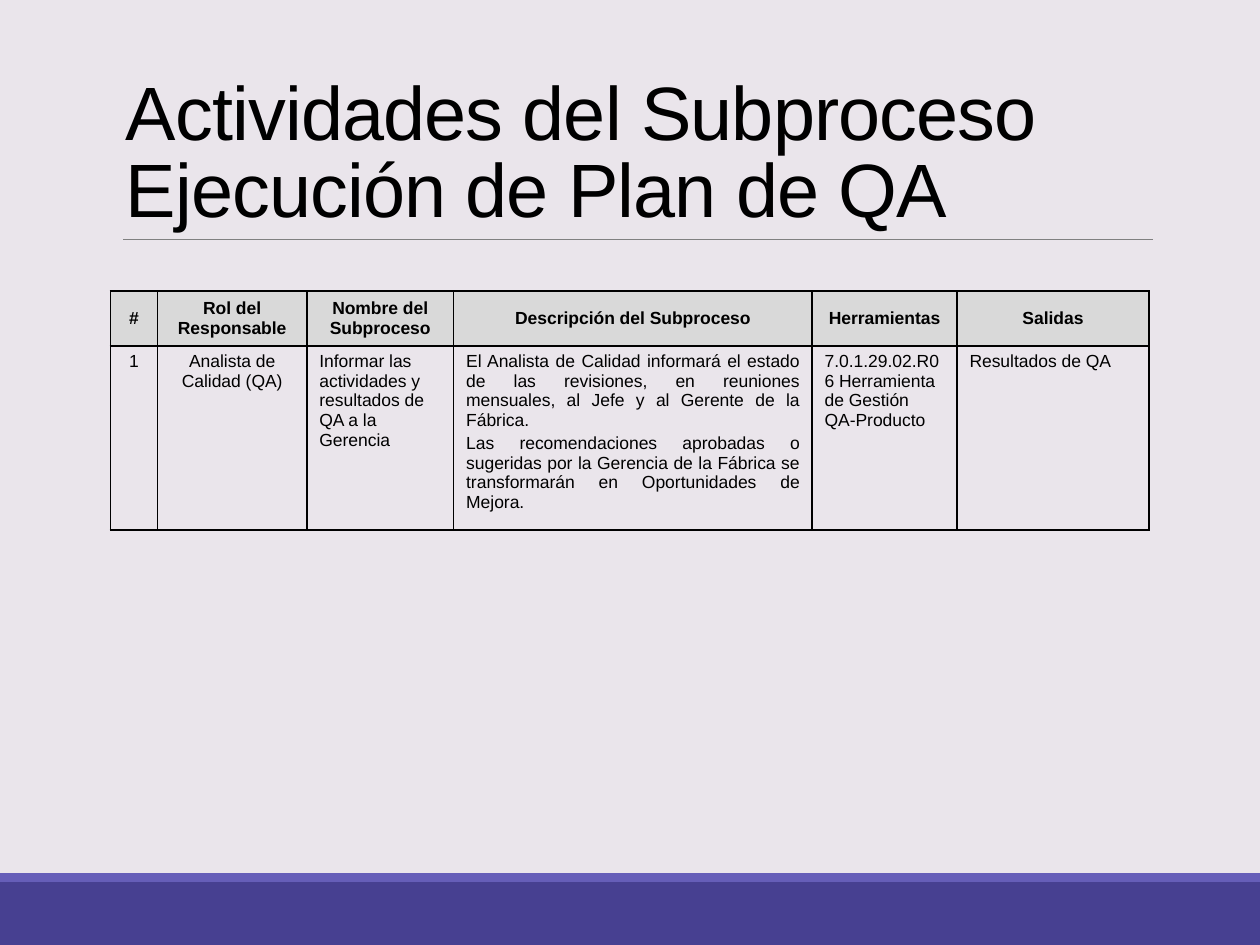
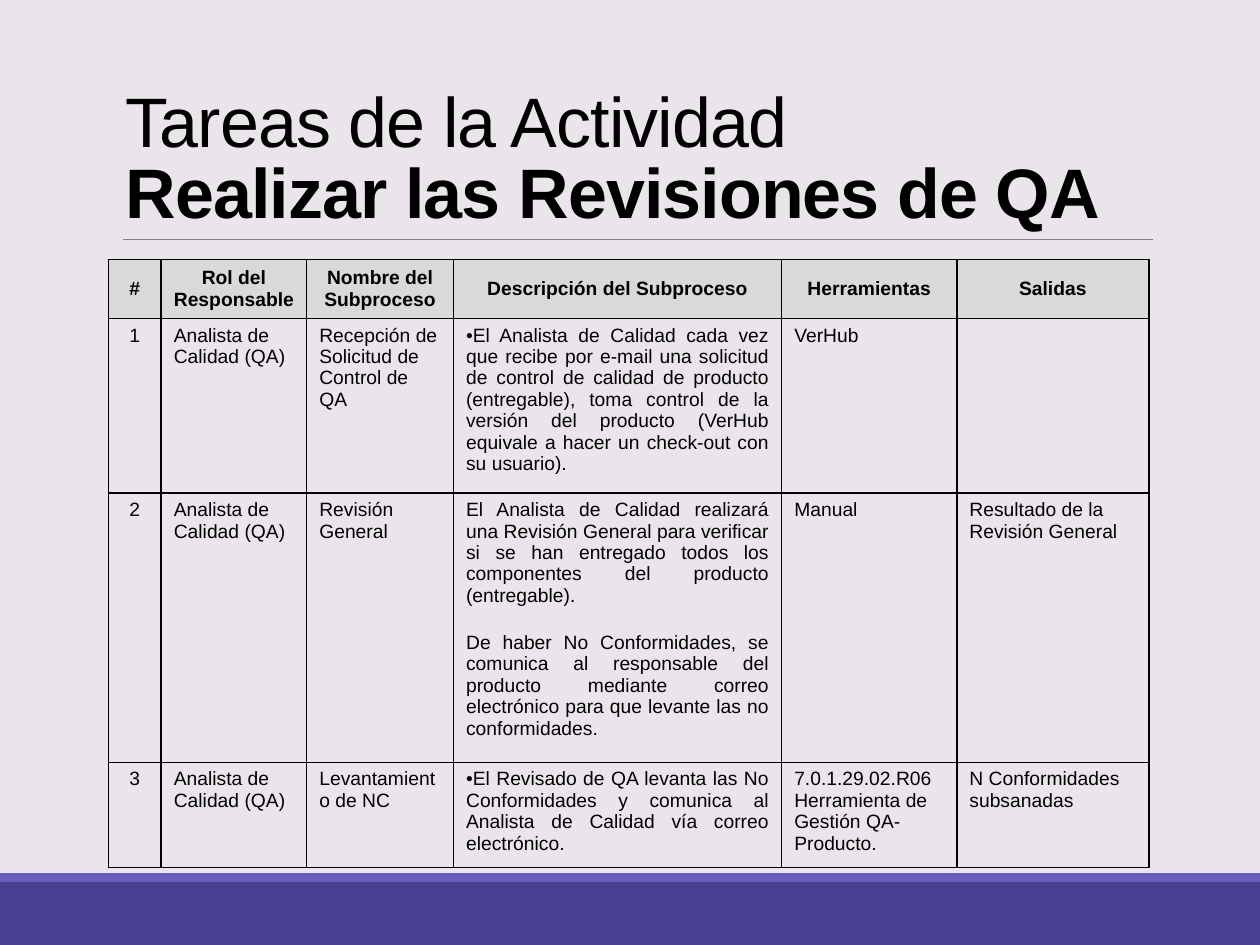
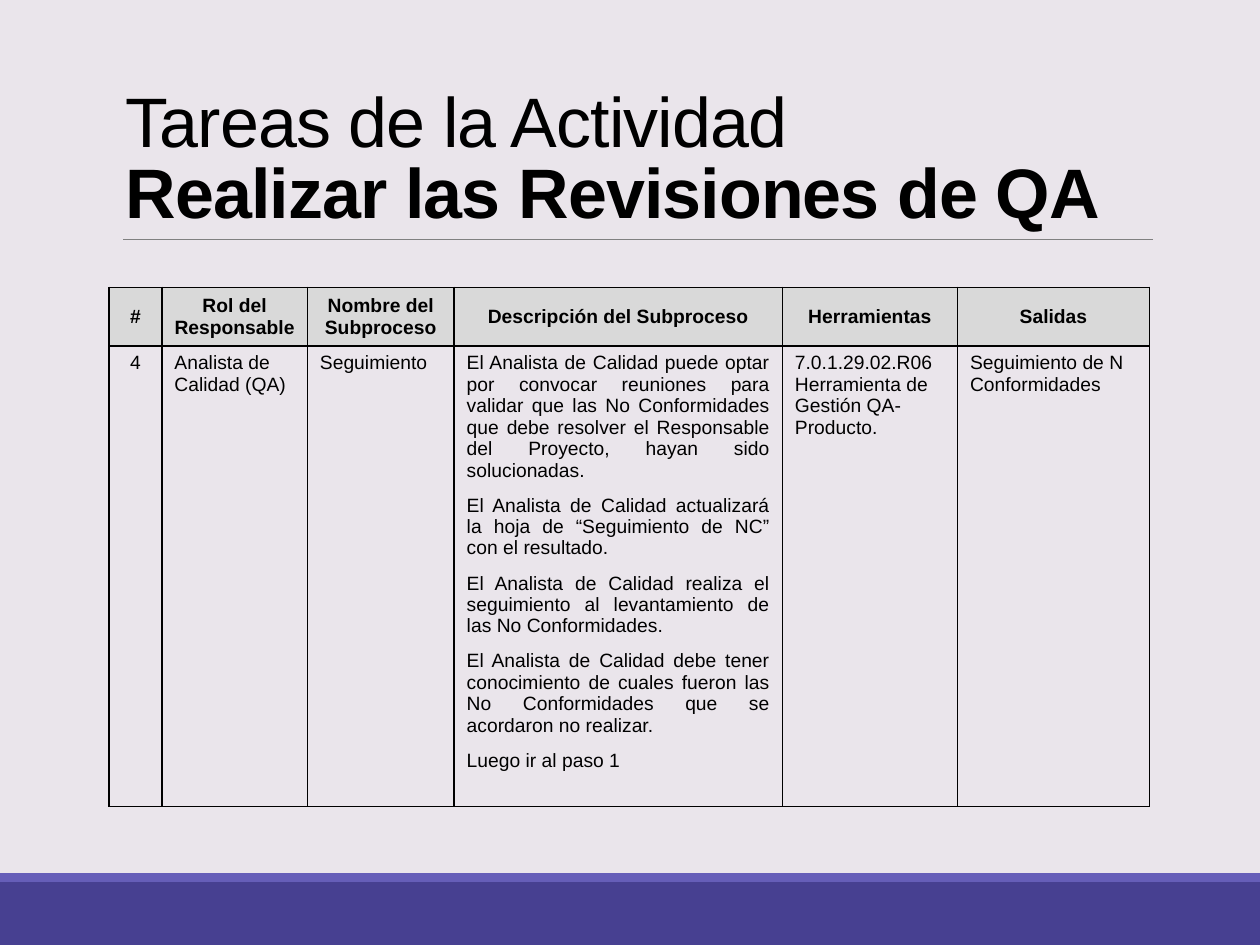
from dataclasses import dataclass

from lxml import etree
from pptx import Presentation
from pptx.dml.color import RGBColor
from pptx.enum.shapes import MSO_CONNECTOR, MSO_SHAPE
from pptx.enum.text import MSO_ANCHOR, PP_ALIGN
from pptx.oxml.ns import qn
from pptx.util import Inches, Pt

RECT, STRAIGHT = MSO_SHAPE.RECTANGLE, MSO_CONNECTOR.STRAIGHT
TOP, MIDDLE, BOTTOM = MSO_ANCHOR.TOP, MSO_ANCHOR.MIDDLE, MSO_ANCHOR.BOTTOM
ALIGN = {"l": PP_ALIGN.LEFT, "c": PP_ALIGN.CENTER, "j": PP_ALIGN.JUSTIFY}

# Grid of 100 columns by 75 rows over the slide
WIDTH, HEIGHT = Inches(10), Inches(7.5)
COLUMNS, ROWS = 100, 75


@dataclass(frozen=True)
class Theme:
    font: str = "Arial"
    background: str = "EAE5EB"
    band: str = "474091"
    stripe: str = "665EB8"
    rule: str = "808080"
    ink: str = "000000"
    header: str = "D9D9D9"
    rule_width: float = 0.5
    border_width: float = 1
    title_spacing: float = 0.85
    title_tracking: int = -50
    plan_title: float = 43.2
    tasks_title: float = 40
    plan_text: float = 10
    tasks_text: float = 11


def rgb(value):
    return RGBColor.from_string(value)


def col(n):
    return round(WIDTH * n / COLUMNS)


def row(n):
    return round(HEIGHT * n / ROWS)


def box(x, y, w, h):
    return col(x), row(y), col(w), row(h)


def apply(target, formats):
    for name, value in formats.items():
        setattr(target, name, value)


class Deck:
    def __init__(self, theme):
        self.theme = theme
        self.prs = Presentation()
        apply(self.prs, {"slide_width": WIDTH, "slide_height": HEIGHT})
        fill = self.prs.slide_master.background.fill
        fill.solid()
        fill.fore_color.rgb = rgb(theme.background)
        self.s = None

    def add_slide(self, title, size):
        """Start a slide with the shared bands, rule and title."""
        t = self.theme
        self.s = self.prs.slides.add_slide(self.prs.slide_layouts[6])
        self.band(0, 70, 100, 5, t.band)
        self.band(0, 69.3, 100, 0.7, t.stripe)
        self.rule(9.8, 91.5, 19)
        self.title(title, size)

    def band(self, x, y, w, h, color):
        sp = self.s.shapes.add_shape(RECT, *box(x, y, w, h))
        sp.shadow.inherit = False
        sp.fill.solid()
        sp.fill.fore_color.rgb = rgb(color)
        sp.line.fill.background()

    def rule(self, x1, x2, y):
        line = self.s.shapes.add_connector(STRAIGHT, col(x1), row(y), col(x2), row(y))
        line.line.color.rgb = rgb(self.theme.rule)
        line.line.width = Pt(self.theme.rule_width)
        etree.SubElement(line._element.spPr, qn("a:effectLst"))

    def run(self, p, text, size, bold=False):
        r = p.add_run()
        r.text = text
        apply(r.font, {"name": self.theme.font, "size": Pt(size), "bold": bold})
        r.font.color.rgb = rgb(self.theme.ink)
        return r

    def title(self, lines, size):
        """Write title lines given as (text, bold) pairs."""
        tf = self.s.shapes.add_textbox(*box(9, 3.1, 82.5, 15.9)).text_frame
        apply(tf, {"word_wrap": True, "vertical_anchor": BOTTOM})
        p = tf.paragraphs[0]
        p.line_spacing = self.theme.title_spacing
        for i, (text, bold) in enumerate(lines):
            if i:
                p.add_line_break()
            r = self.run(p, text, size, bold)
            r.font._element.set("spc", str(self.theme.title_tracking))
        for br in p._p.findall(qn("a:br")):
            etree.SubElement(br, qn("a:rPr"), sz=str(round(size * 100)))

    def borders(self, cell):
        tc_pr = cell._tc.get_or_add_tcPr()
        for side in "LRTB":
            ln = etree.SubElement(tc_pr, qn(f"a:ln{side}"),
                                  w=str(Pt(self.theme.border_width)))
            fill = etree.SubElement(ln, qn("a:solidFill"))
            etree.SubElement(fill, qn("a:srgbClr"), val=self.theme.ink)

    def bullet(self, p):
        p_pr = p._p.get_or_add_pPr()
        etree.SubElement(p_pr, qn("a:buFont"), typeface=self.theme.font)
        etree.SubElement(p_pr, qn("a:buChar"), char="•")

    def cell(self, cell, text, size, align, gap, header):
        self.borders(cell)
        if header:
            cell.fill.solid()
            cell.fill.fore_color.rgb = rgb(self.theme.header)
        else:
            cell.fill.background()
        cell.vertical_anchor = MIDDLE if header else TOP
        if not text:
            return
        tf = cell.text_frame
        parts = text.split("\n")
        for i, part in enumerate(parts):
            p = tf.add_paragraph() if i else tf.paragraphs[0]
            p.alignment = ALIGN[align]
            if i < len(parts) - 1:
                p.space_after = Pt(gap)
            if part.startswith("•"):
                self.bullet(p)
            self.run(p, part.lstrip("•"), size, header)

    def table(self, x, y, widths, heights, records, size, aligns, gap):
        """Draw the header and the records; gap separates paragraphs."""
        data = [HEADER, *records]
        frame = self.s.shapes.add_table(
            len(data), len(widths), *box(x, y, sum(widths), sum(heights)))
        table = frame.table
        apply(table, {"first_row": False, "horz_banding": False})
        for column, width in zip(table.columns, widths):
            column.width = col(width)
        for line, height in zip(table.rows, heights):
            line.height = row(height)
        for i, record in enumerate(data):
            header = i == 0
            for j, text in enumerate(record):
                align = "c" if header else aligns[j]
                self.cell(table.cell(i, j), text, size, align, gap, header)


HEADER = ("#", "Rol del Responsable", "Nombre del Subproceso",
          "Descripción del Subproceso", "Herramientas", "Salidas")
ANALYST = "Analista de Calidad (QA)"
QA_TOOL = "7.0.1.29.02.R06 Herramienta de Gestión QA-Producto"

PLAN_TITLE = [("Actividades del Subproceso", False), ("Ejecución de Plan de QA", False)]
TASKS_TITLE = [("Tareas de la Actividad", False), ("Realizar las Revisiones de QA", True)]

PLAN_WIDTHS = (3.75, 11.85, 11.65, 28.45, 11.5, 15.25)
TASKS_WIDTHS = (4.2, 11.55, 11.65, 26.05, 13.9, 15.25)

PLAN = [
    ("1", ANALYST, "Informar las actividades y resultados de QA a la Gerencia",
     "El Analista de Calidad informará el estado de las revisiones, en reuniones "
     "mensuales, al Jefe y al Gerente de la Fábrica.\n"
     "Las recomendaciones aprobadas o sugeridas por la Gerencia de la Fábrica se "
     "transformarán en Oportunidades de Mejora.",
     QA_TOOL, "Resultados de QA"),
]

REVIEW = [
    ("1", ANALYST, "Recepción de Solicitud de Control de QA",
     "•El Analista de Calidad cada vez que recibe por e-mail una solicitud de control "
     "de calidad de producto (entregable), toma control de la versión del producto "
     "(VerHub equivale a hacer un check-out con su usuario).",
     "VerHub", ""),
    ("2", ANALYST, "Revisión General",
     "El Analista de Calidad realizará una Revisión General para verificar si se han "
     "entregado todos los componentes del producto (entregable).\n"
     "De haber No Conformidades, se comunica al responsable del producto mediante "
     "correo electrónico para que levante las no conformidades.",
     "Manual", "Resultado de la Revisión General"),
    ("3", ANALYST, "Levantamiento de NC",
     "•El Revisado de QA levanta las No Conformidades y comunica al Analista de "
     "Calidad vía correo electrónico.",
     QA_TOOL + ".", "N Conformidades subsanadas"),
]

FOLLOW_UP = [
    ("4", ANALYST, "Seguimiento",
     "El Analista de Calidad puede optar por convocar reuniones para validar que las "
     "No Conformidades que debe resolver el Responsable del Proyecto, hayan sido "
     "solucionadas.\n"
     "El Analista de Calidad actualizará la hoja de “Seguimiento de NC” con el "
     "resultado.\n"
     "El Analista de Calidad realiza el seguimiento al levantamiento de las No "
     "Conformidades.\n"
     "El Analista de Calidad debe tener conocimiento de cuales fueron las No "
     "Conformidades que se acordaron no realizar.\n"
     "Luego ir al paso 1",
     QA_TOOL + ".", "Seguimiento de N Conformidades"),
]


def main():
    t = Theme()
    deck = Deck(t)

    # Plan activities
    deck.add_slide(PLAN_TITLE, t.plan_title)
    deck.table(8.75, 23.1, PLAN_WIDTHS, (4.1, 13.7), PLAN, t.plan_text, "ccljll", 2)

    # Review tasks
    deck.add_slide(TASKS_TITLE, t.tasks_title)
    deck.table(8.6, 20.6, TASKS_WIDTHS, (4.4, 12.9, 20, 7.8), REVIEW,
               t.tasks_text, "clljll", 14.6)

    # Follow-up task
    deck.add_slide(TASKS_TITLE, t.tasks_title)
    deck.table(8.65, 22.8, TASKS_WIDTHS, (4.4, 34.3), FOLLOW_UP,
               t.tasks_text, "clljll", 7.8)

    deck.prs.save("out.pptx")


if __name__ == "__main__":
    main()
